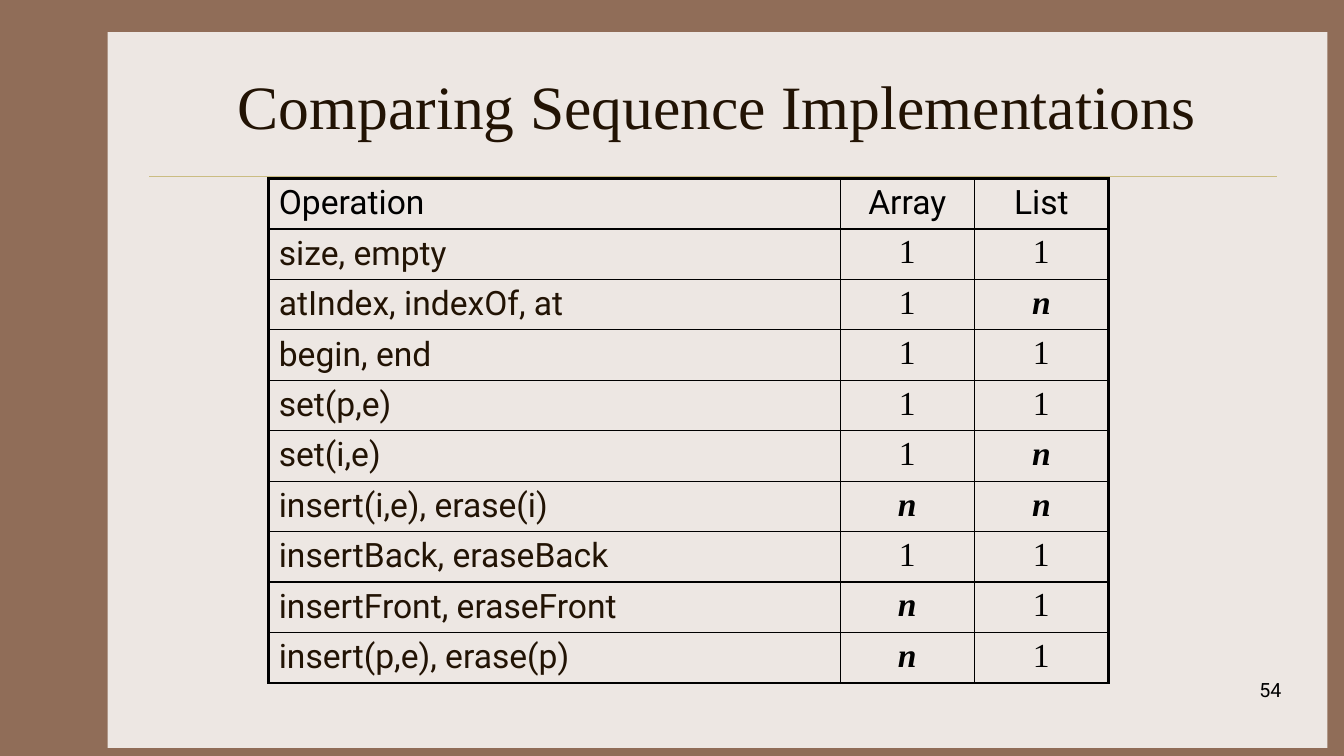
from lxml import etree
from pptx import Presentation
from pptx.dml.color import RGBColor
from pptx.enum import shapes, text
from pptx.oxml import ns
from pptx.util import Pt

TITLE = "Comparing Sequence Implementations"
PAGE_NUMBER = "54"
HEADER = ("Operation", "Array", "List")
COSTS = [
    ("size, empty", "1", "1"),
    ("atIndex, indexOf, at", "1", "n"),
    ("begin, end", "1", "1"),
    ("set(p,e)", "1", "1"),
    ("set(i,e)", "1", "n"),
    ("insert(i,e), erase(i)", "n", "n"),
    ("insertBack, eraseBack", "1", "1"),
    ("insertFront, eraseFront", "n", "1"),
    ("insert(p,e), erase(p)", "n", "1"),
]

BROWN = RGBColor(0x90, 0x6D, 0x58)
PAPER = RGBColor(0xED, 0xE7, 0xE3)
GOLD = RGBColor(0xCB, 0xBD, 0x83)
DARK = RGBColor(0x22, 0x13, 0x04)
BLACK = RGBColor(0, 0, 0)
SERIF, SANS = "Times New Roman", "Roboto"

COLUMN_WIDTHS = (408.2, 95.8, 95.8)
ROW_HEIGHT = 35.4
OUTER_BORDER, INNER_BORDER = 2.25, 1
ALIGN = text.PP_ALIGN


def write(frame, words, font_name, size, color, align, emphasis=False):
    paragraph = frame.paragraphs[0]
    paragraph.alignment = align
    run = paragraph.add_run()
    run.text = words
    run.font.name = font_name
    run.font.size = Pt(size)
    run.font.color.rgb = color
    run.font.bold = run.font.italic = emphasis


def add_label(slide, box, anchor, *style):
    frame = slide.shapes.add_textbox(*map(Pt, box)).text_frame
    frame.word_wrap = True
    frame.vertical_anchor = anchor
    write(frame, *style)


def set_borders(cell, widths):
    """Draw black borders; widths maps L, R, T and B to points, in that order."""
    properties = cell._tc.get_or_add_tcPr()
    for side, width in widths.items():
        line = etree.SubElement(properties, ns.qn(f"a:ln{side}"), w=str(Pt(width)))
        fill = etree.SubElement(line, ns.qn("a:solidFill"))
        etree.SubElement(fill, ns.qn("a:srgbClr"), val=str(BLACK))


def add_backdrop(slide):
    slide.background.fill.solid()
    slide.background.fill.fore_color.rgb = BROWN
    paper = slide.shapes.add_shape(
        shapes.MSO_SHAPE.RECTANGLE, Pt(77), Pt(23), Pt(871.2), Pt(511.2))
    paper.shadow.inherit = False
    paper.fill.solid()
    paper.fill.fore_color.rgb = PAPER
    paper.line.fill.background()
    rule = slide.shapes.add_connector(
        shapes.MSO_CONNECTOR.STRAIGHT, Pt(106.5), Pt(126), Pt(912.2), Pt(126))
    rule.line.color.rgb = GOLD
    rule.line.width = Pt(0.25)
    etree.SubElement(rule._element.spPr, ns.qn("a:effectLst"))


def add_cost_table(slide):
    rows = [HEADER, *COSTS]
    last_row, last_column = len(rows) - 1, len(HEADER) - 1
    table = slide.shapes.add_table(
        len(rows), len(HEADER), Pt(192), Pt(127.5),
        Pt(sum(COLUMN_WIDTHS)), Pt(ROW_HEIGHT * len(rows))).table
    table.first_row = table.horz_banding = False
    for column, width in zip(table.columns, COLUMN_WIDTHS):
        column.width = Pt(width)
    for r, row in enumerate(rows):
        table.rows[r].height = Pt(ROW_HEIGHT)
        for c, words in enumerate(row):
            cell = table.cell(r, c)
            at_edge = {"L": c == 0, "R": c == last_column,
                       "T": r == 0, "B": r == last_row}
            set_borders(cell, {side: OUTER_BORDER if edge else INNER_BORDER
                               for side, edge in at_edge.items()})
            cell.fill.background()
            is_cost = r > 0 and c > 0
            write(cell.text_frame, words, SERIF if is_cost else SANS, 24,
                  DARK if r > 0 and c == 0 else BLACK,
                  ALIGN.CENTER if c else ALIGN.LEFT, words == "n")


def main():
    presentation = Presentation()
    presentation.slide_width, presentation.slide_height = Pt(960), Pt(540)
    slide = presentation.slides.add_slide(presentation.slide_layouts[6])
    add_backdrop(slide)
    add_label(slide, (112.3, 30.2, 800, 90), text.MSO_ANCHOR.MIDDLE,
              TITLE, SERIF, 44, DARK, ALIGN.CENTER)
    add_label(slide, (722.2, 481, 200.2, 36), text.MSO_ANCHOR.TOP,
              PAGE_NUMBER, SANS, 14, BLACK, ALIGN.RIGHT)
    add_cost_table(slide)
    presentation.save("out.pptx")


if __name__ == "__main__":
    main()
